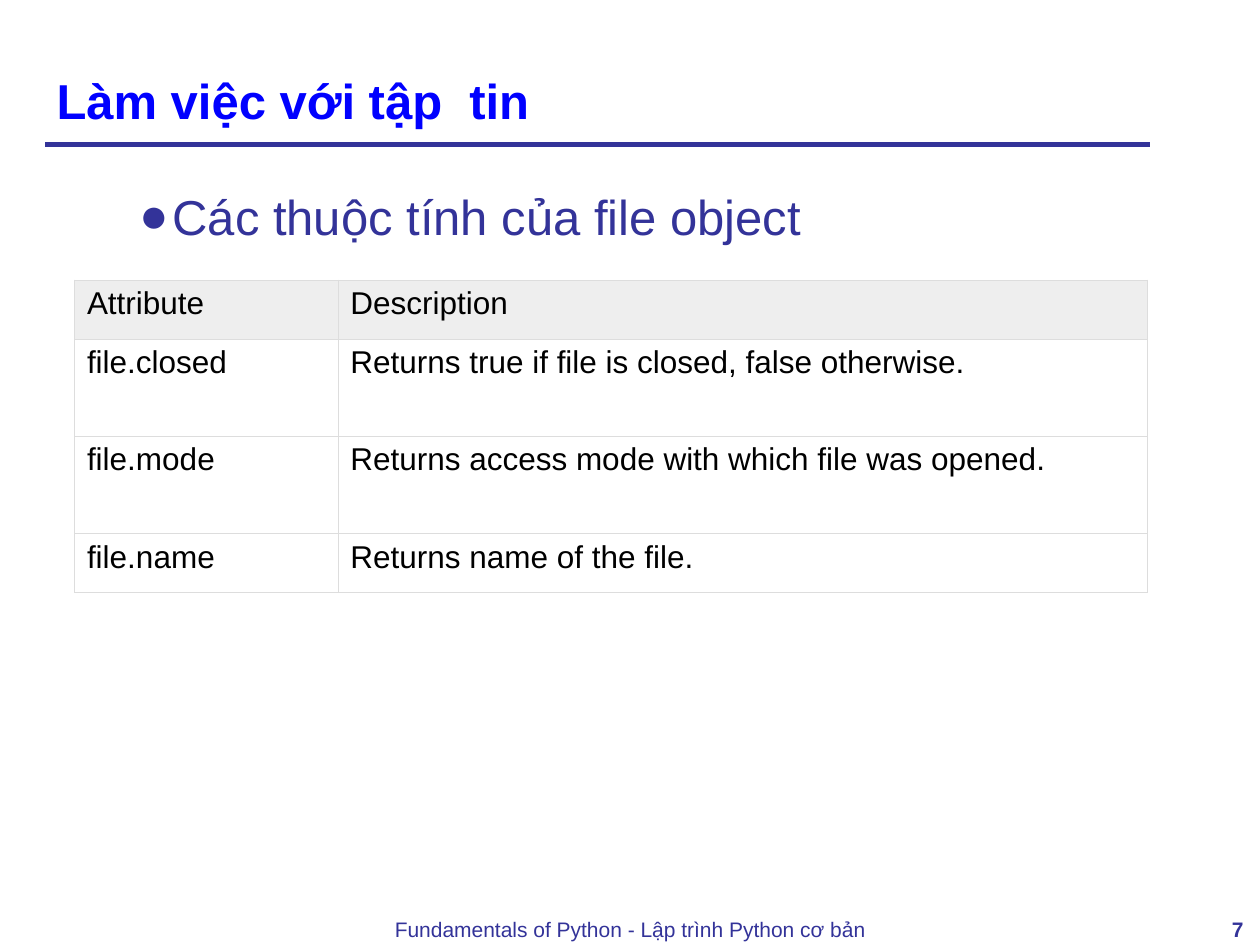
import pptx
import pptx.util
import pptx.dml.color
import pptx.enum.shapes
import pptx.enum.text
import pptx.oxml.ns
import lxml.etree

Cm = pptx.util.Cm
Pt = pptx.util.Pt
Align = pptx.enum.text.PP_ALIGN
Anchor = pptx.enum.text.MSO_ANCHOR

THEME = {
    "font": "Arial",
    "blue": "0000FF", "navy": "333399", "ink": "000000",
    "head": "EEEEEE", "edge": "DDDDDD",
    "big": 28, "body": 18, "small": 12,
    "rule": 3, "thin": 0.34,
}

TITLE = "Làm việc với tập  tin"
POINT = "Các thuộc tính của file object"
ROWS = [
    ("Attribute", "Description"),
    ("file.closed", "Returns true if file is closed, false otherwise."),
    ("file.mode", "Returns access mode with which file was opened."),
    ("file.name", "Returns name of the file."),
]
WIDTHS = (5.31, 16.31)
HEIGHTS = (1.19, 1.96, 1.96, 1.19)
FOOTER = "Fundamentals of Python - Lập trình Python cơ bản"
NUMBER = "7"


def color(name):
    return pptx.dml.color.RGBColor.from_string(THEME[name])


def add(parent, tag, **attrs):
    node = lxml.etree.SubElement(parent, pptx.oxml.ns.qn(tag))
    for key, value in attrs.items():
        node.set(key, str(value))
    return node


def write(frame, text, size, tint, bold=False, align=Align.LEFT, side=0.25):
    frame.word_wrap = True
    frame.margin_left = frame.margin_right = Cm(side)
    frame.margin_top = frame.margin_bottom = Cm(0.13)
    para = frame.paragraphs[0]
    para.alignment = align
    run = para.add_run()
    run.text = text
    font = run.font
    font.name = THEME["font"]
    font.size = Pt(THEME[size])
    font.bold = bold
    font.color.rgb = color(tint)
    return para


def add_box(slide, place, *args, **style):
    box = slide.shapes.add_textbox(*map(Cm, place))
    return write(box.text_frame, *args, **style)


def add_title(slide):
    title = slide.shapes.title
    title.left, title.top, title.width, title.height = map(
        Cm, (0.89, 0.53, 22, 2.21))
    frame = title.text_frame
    frame.auto_size = pptx.enum.text.MSO_AUTO_SIZE.NONE
    frame.vertical_anchor = Anchor.BOTTOM
    write(frame, TITLE, "big", "blue", bold=True)


def add_rule(slide):
    line = slide.shapes.add_connector(
        pptx.enum.shapes.MSO_CONNECTOR.STRAIGHT,
        Cm(0.91), Cm(2.92), Cm(23.19), Cm(2.92))
    line.line.color.rgb = color("navy")
    line.line.width = Pt(THEME["rule"])
    add(line._element.spPr, "a:effectLst")


def add_point(slide):
    para = add_box(slide, (1.3, 3.33, 22, 1.83), POINT, "big", "navy")
    para.level = 1
    para.line_spacing = 1.25
    props = para._p.get_or_add_pPr()
    props.set("marL", str(Cm(1.93)))
    props.set("indent", str(Cm(-0.66)))
    tint = add(props, "a:buClr")
    add(tint, "a:srgbClr", val=THEME["navy"])
    add(props, "a:buFont", typeface=THEME["font"])
    add(props, "a:buChar", char="●")


def add_edges(cell):
    props = cell._tc.get_or_add_tcPr()
    for side in ("a:lnL", "a:lnR", "a:lnT", "a:lnB"):
        edge = add(props, side, w=int(Pt(THEME["thin"])))
        fill = add(edge, "a:solidFill")
        add(fill, "a:srgbClr", val=THEME["edge"])


def add_grid(slide):
    table = slide.shapes.add_table(
        len(ROWS), len(WIDTHS), Cm(1.5), Cm(5.64),
        Cm(sum(WIDTHS)), Cm(sum(HEIGHTS))).table
    table.horz_banding = False
    table.first_row = False
    for col, width in zip(table.columns, WIDTHS):
        col.width = Cm(width)
    for r, (row, height) in enumerate(zip(ROWS, HEIGHTS)):
        table.rows[r].height = Cm(height)
        for c, text in enumerate(row):
            cell = table.cell(r, c)
            write(cell.text_frame, text, "body", "ink", side=0.2)
            add_edges(cell)
            if r == 0:
                cell.fill.solid()
                cell.fill.fore_color.rgb = color("head")
            else:
                cell.fill.background()


def main():
    deck = pptx.Presentation()
    deck.slide_width, deck.slide_height = Cm(25.4), Cm(19.05)
    slide = deck.slides.add_slide(deck.slide_layouts.get_by_name("Title Only"))
    add_rule(slide)
    add_title(slide)
    add_point(slide)
    add_grid(slide)
    add_box(slide, (2.21, 18.34, 21, 0.61), FOOTER, "small", "navy",
            align=Align.CENTER)
    add_box(slide, (23.32, 18.34, 2, 0.61), NUMBER, "small", "navy",
            bold=True, align=Align.RIGHT)
    deck.save("out.pptx")


if __name__ == "__main__":
    main()
